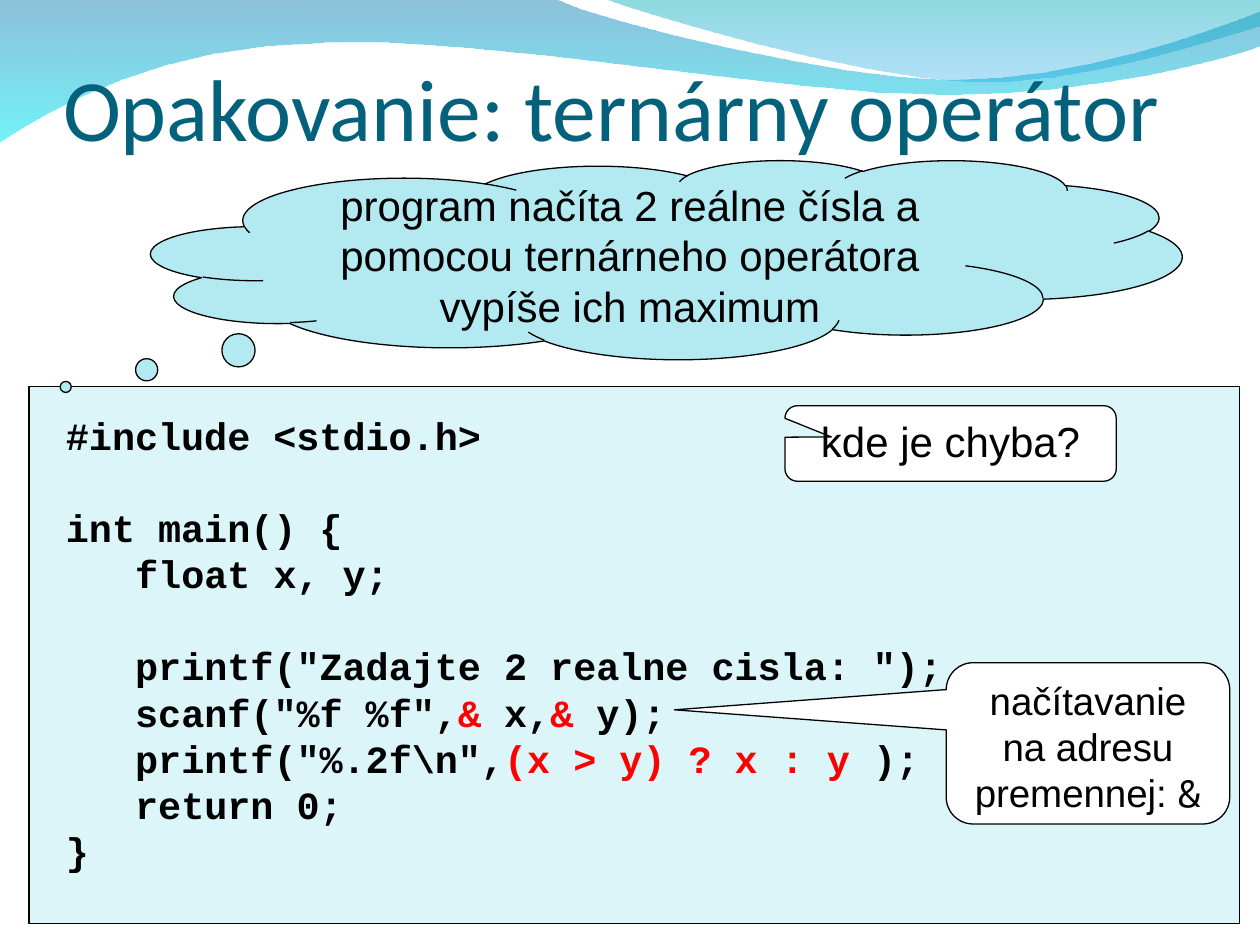
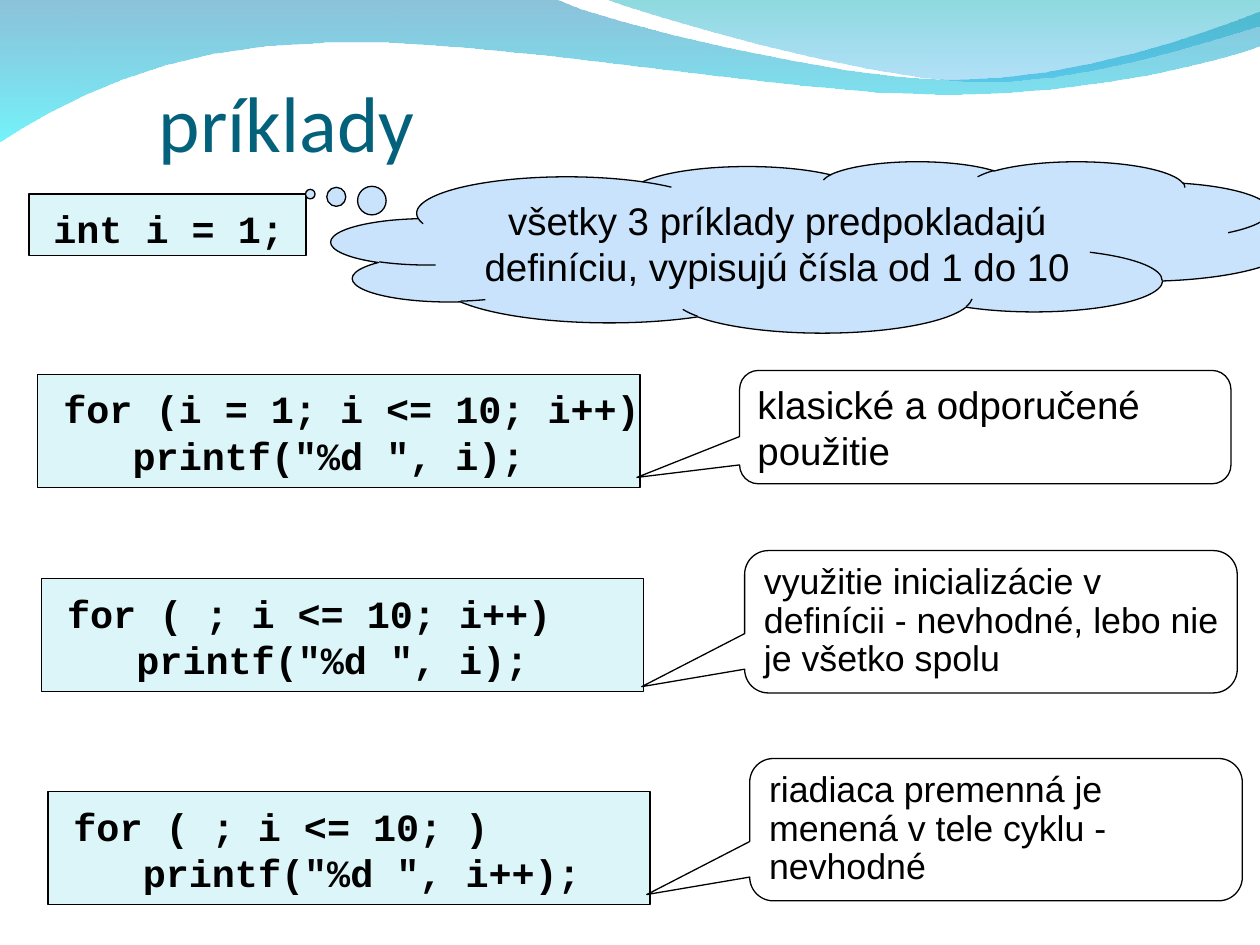
from pptx import Presentation
from pptx import util as u
from pptx.dml.color import RGBColor
from pptx.enum import shapes, text
from pptx.oxml.ns import qn
from lxml import etree

INK = RGBColor(0x00, 0x00, 0x00)
RED = RGBColor(0xFF, 0x00, 0x00)
WHITE = RGBColor(0xFF, 0xFF, 0xFF)
TEAL = RGBColor(0x04, 0x61, 0x7B)
PANEL = RGBColor(0xDB, 0xF5, 0xF9)
AQUA = RGBColor(0xB3, 0xEA, 0xF2)
SKY = RGBColor(0xC8, 0xE3, 0xFB)
BLUE, CYAN = RGBColor(0x00, 0x79, 0xAF), RGBColor(0x00, 0xEB, 0xF8)
SEA, AZURE = RGBColor(0x00, 0xAD, 0xB6), RGBColor(0x00, 0x9B, 0xE5)

SANS, MONO, HEAD = "Arial", "Courier New", "Calibri"
RECT = shapes.MSO_SHAPE.RECTANGLE
CLOUD = shapes.MSO_SHAPE.CLOUD_CALLOUT
TALK = shapes.MSO_SHAPE.ROUNDED_RECTANGULAR_CALLOUT
LEFT, MID = text.PP_ALIGN.LEFT, text.PP_ALIGN.CENTER
TOP, CORE, BASE = (text.MSO_ANCHOR.TOP, text.MSO_ANCHOR.MIDDLE,
                   text.MSO_ANCHOR.BOTTOM)

deck = Presentation()
deck.slide_width, deck.slide_height = u.Inches(10), u.Inches(7.5)
CELL = deck.slide_width / 100  # grid of 100 columns by 75 rows
LINE = 26.3                    # one blank code line, in points
TAB = u.Pt(39.6)               # three code characters
STEPS = 8                      # straight pieces in each wave curve


def put(page, kind, box, fill=None, tail=()):
    """Add a preset shape, or a text box when kind is None; box in cells."""
    spot = [round(n * CELL) for n in box]
    if kind is None:
        return page.shapes.add_textbox(*spot)
    shape = page.shapes.add_shape(kind, *spot)
    shape.shadow.inherit = False
    shape.fill.solid()
    shape.fill.fore_color.rgb = fill
    shape.line.color.rgb = INK
    shape.line.width = u.Pt(0.75)
    for i, n in enumerate(tail):
        shape.adjustments[i] = n
    return shape


def write(shape, rows, face, size, ink=INK, bold=False, side=LEFT,
          anchor=TOP, lead=None, alt=(MONO, RED)):
    """Write (gap before, tabs, words) rows; words between bars take alt."""
    frame = shape.text_frame
    frame.word_wrap = True
    frame.auto_size = text.MSO_AUTO_SIZE.NONE
    frame.vertical_anchor = anchor
    for i, (gap, tabs, words) in enumerate(rows):
        para = frame.add_paragraph() if i else frame.paragraphs[0]
        para.alignment = side
        para.space_before = u.Pt(gap)
        para.line_spacing = lead
        if tabs:
            para._p.get_or_add_pPr().set("marL", str(tabs * TAB))
        for k, part in enumerate(words.split("|")):
            if not part:
                continue
            run = para.add_run()
            run.text = part
            font = run.font
            font.name, font.color.rgb = alt if k % 2 else (face, ink)
            font.size, font.bold = u.Pt(size), bold


# Waves: each is a start and curves of three points; a lone point is a line
waves = [
    ((0, -.1), [[(44, -.1)],
                [(47.6, 1.7), (66.4, 6.3), (75.8, 6.3)],
                [(85.3, 6.3), (95.8, 2.6), (100, .9)],
                [(100.1, 3.6)],
                [(98.3, 4.4), (87, 7.6), (74.6, 7.5)],
                [(62.2, 7.5), (38.2, 2.8), (25.7, 3.4)],
                [(12.9, 3.5), (4.6, 8.3), (-.1, 11.3)]],
     [(BLUE, 45), (CYAN, 55)]),
    ((47.9, -.1), [[(50.9, 1.1), (68.2, 6.2), (76.9, 6.5)],
                   [(85.6, 6.9), (96.1, 3.2), (100, 2.1)],
                   [(100, 0)]],
     [(SEA, 45), (AZURE, 30)]),
]
plan = deck.slide_layouts[5]
first, second = [deck.slides.add_slide(plan) for _ in range(2)]
for n, (start, curves, tints) in enumerate(waves):
    dots = [start]
    for curve in curves:
        if len(curve) == 1:
            dots += curve
            continue
        knots = [dots[-1]] + curve
        for step in range(1, STEPS + 1):
            t = step / STEPS
            share = [(1 - t) ** 3, 3 * t * (1 - t) ** 2,
                     3 * t * t * (1 - t), t ** 3]
            dots.append(tuple(sum(s * p[axis] for s, p in zip(share, knots))
                              for axis in (0, 1)))
    dots = [(round(x * CELL), round(y * CELL)) for x, y in dots]
    pen = first.shapes.build_freeform(*dots[0], scale=1.0)
    pen.add_line_segments(dots[1:], close=True)
    wave = pen.convert_to_shape()
    wave.shadow.inherit = False
    wave.line.fill.background()
    wave.fill.gradient()
    wave.fill.gradient_angle = 270
    for stop, (tint, alpha) in zip(wave.fill.gradient_stops, tints):
        stop.color.rgb = tint
    for node, (tint, alpha) in zip(wave.element.iter(qn("a:gs")), tints):
        etree.SubElement(node[0], qn("a:alpha")).set("val", str(alpha * 1000))
    # The layout carries the waves, behind its placeholders
    plan.shapes.element.insert(2 + n, wave.element)

# Titles
for page, words, size, box in [
        (first, "Opakovanie: ternárny operátor", 50, (5, 7.7, 90, 4.9)),
        (second, "príklady", 45, (12.6, 6.8, 85.2, 6.6))]:
    title = page.shapes.title
    title.left, title.top, title.width, title.height = [
        round(n * CELL) for n in box]
    frame = title.text_frame
    frame.margin_left = frame.margin_right = frame.margin_bottom = 0
    write(title, [(0, 0, words)], HEAD, size, TEAL, anchor=BASE)

# Slide 1: program listing
put(first, RECT, (2.3, 30.7, 96.1, 42.6), PANEL)
code = [
    (0, 0, "#include <stdio.h>"),
    (LINE, 0, "int main() {"),
    (0, 1, "float x, y;"),
    (LINE, 1, 'printf("Zadajte 2 realne cisla: ");'),
    (0, 1, 'scanf("%f %f",|&| x,|&| y);'),
    (0, 1, r'printf("%.2f\n",|(x > y) ? x : y| );'),
    (0, 1, "return 0;"),
    (0, 0, "}"),
]
write(put(first, None, (4.25, 32.2, 74, 37.6)), code, MONO, 22, bold=True)

# Slide 1: task and hints
task = put(first, CLOUD, (12, 12.7, 81.8, 15.8), AQUA, (-.583, .64))
write(task, [(6, 0, "program načíta 2 reálne čísla a pomocou ternárneho "
                    "operátora vypíše ich maximum")],
      SANS, 24, side=MID, anchor=CORE)
for box, tail, size, words in [
        ((75.1, 52.6, 22.5, 12.8), (-1.459, -.208), 22,
         "načítavanie na adresu premennej: |&"),
        ((62.3, 32.2, 26.3, 6), (-.36, -.086), 24, "kde je chyba?")]:
    write(put(first, TALK, box, WHITE, tail), [(0, 0, words)],
          SANS, size, side=MID, alt=("Cabin", INK))

# Slide 2: shared definition
put(second, RECT, (2.3, 15.4, 22, 4.9), PANEL)
write(put(second, None, (3.25, 15.8, 22, 4.6)), [(0, 0, "int i = 1;")],
      MONO, 22, bold=True)
note = put(second, CLOUD, (26.3, 12.8, 76.2, 13.6), SKY, (-.522, -.308))
write(note, [(0, 0, "všetky 3 príklady predpokladajú definíciu, "
                    "vypisujú čísla od 1 do 10")],
      SANS, 22, side=MID, anchor=CORE)

# Slide 2: three loops, each with its remark
loops = [
    (3, 29.7, "for (i = 1; i <= 10; i++)", 'printf("%d ", i);',
     (58.7, 29.4, 39, 9), .444, 22, None, "klasické a odporučené použitie"),
    (3.3, 45.9, "for ( ; i <= 10; i++)", 'printf("%d ", i);',
     (59.1, 43.7, 39.1, 11.3), .456, 20.4, .9,
     "využitie inicializácie v definícii - nevhodné, lebo nie je všetko spolu"),
    (3.8, 62.8, "for ( ; i <= 10; )", 'printf("%d ", i++);',
     (59.5, 60.2, 39.1, 11.3), .456, 20.4, .9,
     "riadiaca premenná je menená v tele cyklu - nevhodné"),
]
for x, y, loop, body, box, tip, size, lead, words in loops:
    put(second, RECT, (x, y, 47.8, 9), PANEL)
    write(put(second, None, (x + 1.05, y + .4, 50, 8.2)),
          [(0, 0, loop), (0, 1, body)], MONO, 22, bold=True)
    remark = put(second, TALK, box, WHITE, (-.709, tip))
    remark.text_frame.margin_right = u.Inches(.08)
    write(remark, [(0, 0, words)], SANS, size, anchor=CORE, lead=lead)

deck.save("out.pptx")
